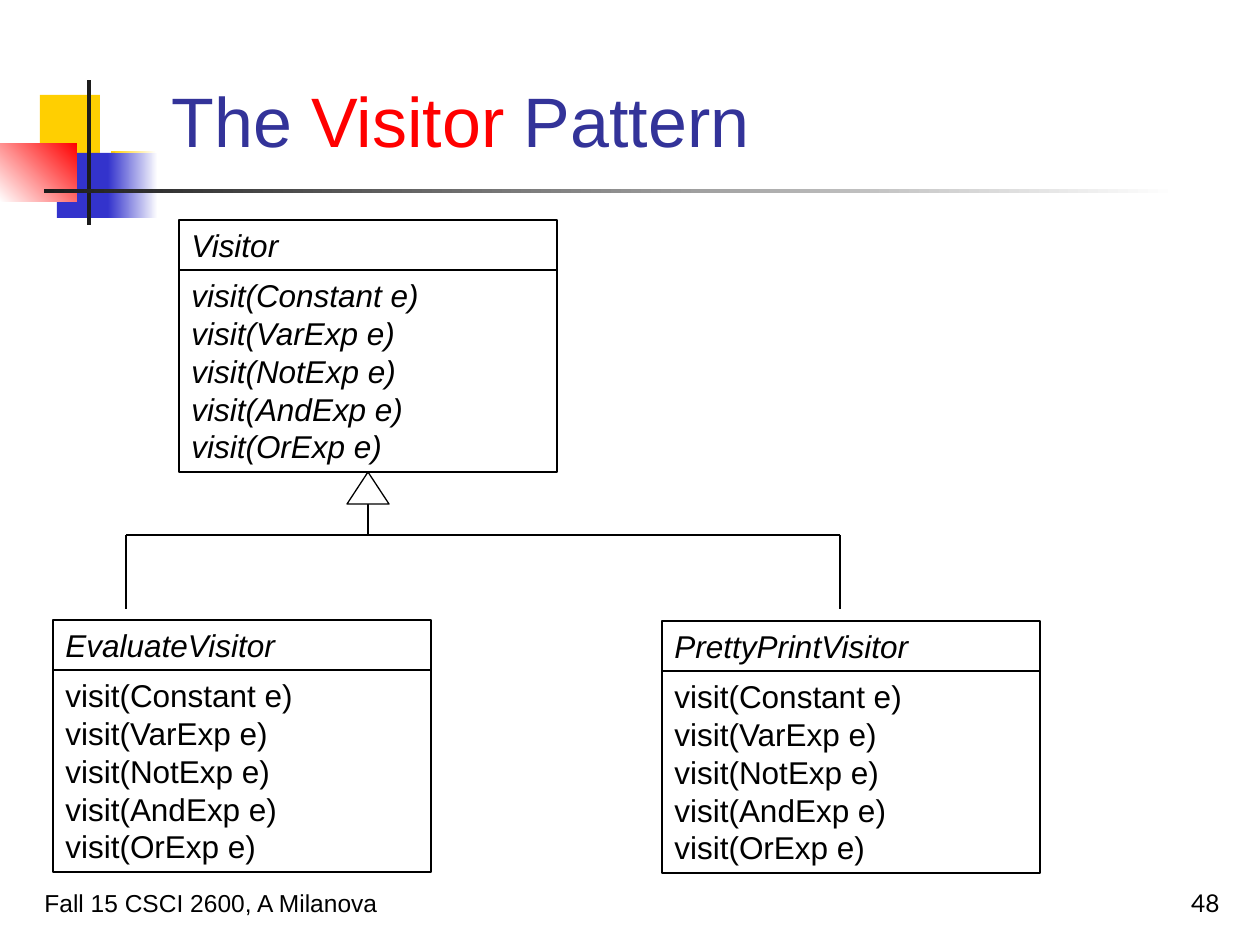
from lxml.etree import SubElement
from pptx import Presentation
from pptx.dml.color import RGBColor
from pptx.enum.shapes import MSO_CONNECTOR, MSO_SHAPE
from pptx.enum.text import MSO_ANCHOR, PP_ALIGN
from pptx.oxml.ns import qn
from pptx.util import Emu, Pt

# Content
TITLE = [("The ", "333399"), ("Visitor", "FF0000"), (" Pattern", "333399")]
KINDS = ["Constant", "VarExp", "NotExp", "AndExp", "OrExp"]
CALLS = "\n".join(f"visit({kind} e)" for kind in KINDS)

# Class boxes: name, left, top, abstract
CLASSES = [
    ("Visitor", 179, 220, True),
    ("EvaluateVisitor", 53, 620, False),
    ("PrettyPrintVisitor", 662, 621, False),
]
WIDE, HEAD, BODY = 378, 50, 202

# Decoration: left, top, width, height, colours, angle
DECOR = [
    (40, 95, 60, 65, ["FFCF01"], 0),
    (111, 151, 45, 66, ["FFCF01", "FFFFFF"], 0),
    (57, 153, 58, 65, ["3333CC"], 0),
    (108, 153, 50, 65, ["3333CC", "FFFFFF"], 0),
    (0, 143, 77, 59, ["FF0000", "FFFFFF"], 225),
    (87, 80, 4, 145, ["1C1C1C"], 0),
    (44, 189, 1134, 4, ["1C1C1C", "FFFFFF"], 0),
]

# Footer: text, left, width, font, alignment
FOOT = [
    ("Fall 15 CSCI 2600, A Milanova", 32, 651, "Arial", PP_ALIGN.LEFT),
    ("48", 970, 262, "Lato", PP_ALIGN.RIGHT),
]

# Inheritance tree
BAR, LOW = 535, 609
ENDS = [126, 840]


def px(n):
    return Emu(round(n * 914400 / 126))


def rgb(code):
    return RGBColor.from_string(code)


def style(para, size, face="Arial", italic=False):
    font = para.font
    font.size, font.name, font.italic = Pt(size), face, italic
    font.color.rgb = rgb("000000")


def shape(kind, x, y, w, h, fill=None, line=None):
    item = slide.shapes.add_shape(kind, px(x), px(y), px(w), px(h))
    item.shadow.inherit = False
    if fill:
        item.fill.solid()
        item.fill.fore_color.rgb = rgb(fill)
    else:
        item.fill.background()
    if line:
        item.line.color.rgb = rgb(line)
        item.line.width = Pt(0.75)
    else:
        item.line.fill.background()
    return item


def cell(text, x, y, h, italic):
    item = shape(MSO_SHAPE.RECTANGLE, x, y, WIDE, h, line="000000")
    frame = item.text_frame
    frame.word_wrap = True
    frame.vertical_anchor = MSO_ANCHOR.TOP
    para = frame.paragraphs[0]
    para.text = text
    para.alignment = PP_ALIGN.LEFT
    para.line_spacing = Pt(21.6)
    style(para, 18, italic=italic)
    return item


def link(x1, y1, x2, y2):
    item = slide.shapes.add_connector(
        MSO_CONNECTOR.STRAIGHT, px(x1), px(y1), px(x2), px(y2))
    item.line.color.rgb = rgb("000000")
    item.line.width = Pt(0.75)
    SubElement(item._element.spPr, qn("a:effectLst"))
    return item


deck = Presentation()
deck.slide_width, deck.slide_height = px(1260), px(945)
slide = deck.slides.add_slide(deck.slide_layouts[5])

# Corner blocks and title rule
for x, y, w, h, tints, angle in DECOR:
    block = shape(MSO_SHAPE.RECTANGLE, x, y, w, h, tints[0])
    if len(tints) > 1:
        block.fill.gradient()
        block.fill.gradient_angle = angle
        for stop, tint, spot in zip(block.fill.gradient_stops, tints, (0, 1)):
            stop.color.rgb = rgb(tint)
            stop.position = spot

# Title
title = slide.shapes.title
title.left, title.top, title.width, title.height = map(px, (159, 29, 1073, 139))
title.text_frame.vertical_anchor = MSO_ANCHOR.BOTTOM
para = title.text_frame.paragraphs[0]
para.alignment = PP_ALIGN.LEFT
para.font.size, para.font.name = Pt(40), "Arial"
for text, tint in TITLE:
    run = para.add_run()
    run.text = text
    run.font.color.rgb = rgb(tint)

# Footer
for text, x, w, face, align in FOOT:
    frame = slide.shapes.add_textbox(px(x), px(861), px(w), px(63)).text_frame
    frame.word_wrap = True
    frame.vertical_anchor = MSO_ANCHOR.BOTTOM
    para = frame.paragraphs[0]
    para.text = text
    para.alignment = align
    style(para, 14, face)

# Classes
bodies = []
for name, x, y, base in CLASSES:
    cell(name, x, y, HEAD, True)
    bodies.append(cell(CALLS, x, y + HEAD, BODY, base))

# Tree from the base class down to its subclasses
_, left, top, _ = CLASSES[0]
mid, foot = left + WIDE // 2, top + HEAD + BODY
link(*(ENDS[0], BAR), *(ENDS[1], BAR))
link(mid, foot, mid, BAR).begin_connect(bodies[0], 2)
shape(MSO_SHAPE.ISOSCELES_TRIANGLE, mid - 21, foot, 42, 32, "FFFFFF", "000000")
for x in ENDS:
    link(x, BAR, x, LOW)

deck.save("out.pptx")
